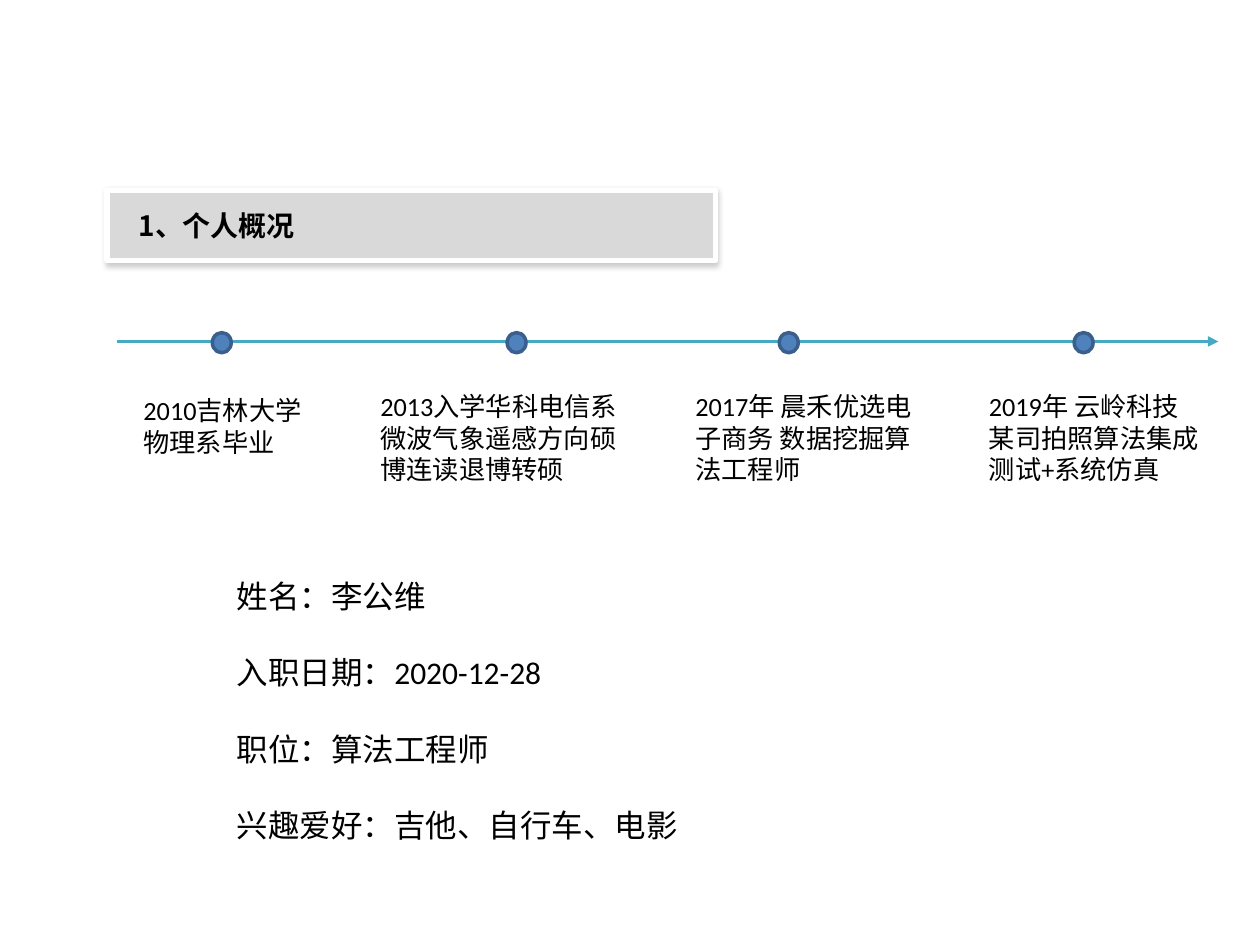
from dataclasses import dataclass

from lxml import etree
from pptx import Presentation
from pptx import util as u
from pptx.dml.color import RGBColor
from pptx.enum import shapes, text
from pptx.oxml import parse_xml
from pptx.oxml.ns import nsdecls, qn


@dataclass(frozen=True)
class Theme:
    ink: str = "000000"
    banner: str = "D9D9D9"
    banner_edge: str = "FFFFFF"
    shadow: str = "808080"
    axis: str = "46AAC5"
    dot: str = "4F81BD"
    dot_edge: str = "3A5F8C"
    latin: str = "Calibri"
    chinese: str = "Noto Sans CJK SC"
    banner_size: int = 16
    caption_size: int = 15
    fact_size: int = 18


THEME = Theme()

HEADING = "1、个人概况"
FACTS = [
    "姓名：李公维",
    "入职日期：2020-12-28",
    "职位：算法工程师",
    "兴趣爱好：吉他、自行车、电影",
]
# Dot centre, then caption left, top, width, height, all relative to the axis start.
MILESTONES = [
    (0.83, (0.11, 0.37, 1.55, 0.61), "2010吉林大学物理系毕业"),
    (3.17, (1.99, 0.34, 2.17, 0.86), "2013入学华科电信系 微波气象遥感方向硕博连读退博转硕"),
    (5.33, (4.49, 0.34, 2, 0.86), "2017年 晨禾优选电子商务 数据挖掘算法工程师"),
    (7.67, (6.82, 0.34, 1.92, 0.86), "2019年 云岭科技\n某司拍照算法集成测试+系统仿真"),
]


def place(shape, box):
    shape.left, shape.top, shape.width, shape.height = map(u.Inches, box)


def paint(shape, fill, edge, edge_width):
    shape.fill.solid()
    shape.fill.fore_color.rgb = RGBColor.from_string(fill)
    shape.line.color.rgb = RGBColor.from_string(edge)
    shape.line.width = u.Pt(edge_width)


def format_text(frame, size, latin=THEME.latin, bold=False):
    frame.word_wrap = True
    frame.auto_size = text.MSO_AUTO_SIZE.NONE
    for para in frame.paragraphs:
        para.alignment = text.PP_ALIGN.LEFT
        for span in para.runs:
            span.font.size = u.Pt(size)
            span.font.bold = bold
            span.font.name = latin
            span.font.color.rgb = RGBColor.from_string(THEME.ink)
            east_asian = etree.Element(qn("a:ea"), typeface=THEME.chinese)
            span.font._element.find(qn("a:latin")).addnext(east_asian)


def add_banner(page, box):
    """Turn the title placeholder into a pill with a soft shadow."""
    banner = page.shapes.title
    place(banner, box)
    properties = banner._element.spPr
    properties.append(parse_xml(
        f'<a:prstGeom {nsdecls("a")} prst="roundRect"><a:avLst>'
        '<a:gd name="adj" fmla="val 50000"/></a:avLst></a:prstGeom>'))
    paint(banner, THEME.banner, THEME.banner_edge, 3)
    properties.append(parse_xml(
        f'<a:effectLst {nsdecls("a")}><a:outerShdw blurRad="{u.Pt(3.1)}" '
        f'dist="{u.Pt(1.6)}" dir="5400000" rotWithShape="0">'
        f'<a:srgbClr val="{THEME.shadow}"><a:alpha val="38000"/></a:srgbClr>'
        '</a:outerShdw></a:effectLst>'))
    frame = banner.text_frame
    frame.text = HEADING
    frame.vertical_anchor = text.MSO_ANCHOR.MIDDLE
    frame.margin_left = u.Inches(0.25)
    format_text(frame, THEME.banner_size, THEME.chinese, bold=True)


def add_axis(page, left, top, width):
    axis = page.shapes.add_connector(
        shapes.MSO_CONNECTOR.STRAIGHT,
        u.Inches(left), u.Inches(top), u.Inches(left + width), u.Inches(top))
    axis.line.color.rgb = RGBColor.from_string(THEME.axis)
    axis.line.width = u.Pt(1.5)
    etree.SubElement(axis.line._get_or_add_ln(), qn("a:tailEnd"), type="triangle")
    etree.SubElement(axis._element.spPr, qn("a:effectLst"))


def add_timeline(page, left, top, width):
    add_axis(page, left, top, width)
    dot_width, dot_height = 0.15, 0.16
    for centre, (x, y, caption_width, caption_height), wording in MILESTONES:
        dot = page.shapes.add_shape(
            shapes.MSO_SHAPE.OVAL,
            u.Inches(left + centre - dot_width / 2), u.Inches(top + 0.01 - dot_height / 2),
            u.Inches(dot_width), u.Inches(dot_height))
        dot.shadow.inherit = False
        paint(dot, THEME.dot, THEME.dot_edge, 2)

        caption = page.shapes.add_textbox(
            u.Inches(left + x), u.Inches(top + y),
            u.Inches(caption_width), u.Inches(caption_height))
        caption.text_frame.text = wording
        format_text(caption.text_frame, THEME.caption_size)


def add_facts(page, box):
    body = page.placeholders[1]
    place(body, box)
    frame = body.text_frame
    frame.text = "\n".join(FACTS)
    format_text(frame, THEME.fact_size)
    for index, para in enumerate(frame.paragraphs):
        para.space_before = u.Pt(22 if index else 0)
        properties = para._p.get_or_add_pPr()
        properties.set("marL", "0")
        properties.set("indent", "0")
        etree.SubElement(properties, qn("a:buNone"))


def main():
    deck = Presentation()
    deck.slide_width, deck.slide_height = u.Inches(10), u.Inches(7.5)
    page = deck.slides.add_slide(deck.slide_layouts[1])
    add_facts(page, (1.78, 4.53, 5, 2.22))
    add_timeline(page, 0.93, 2.71, 8.74)
    add_banner(page, (0.85, 1.51, 4.83, 0.56))
    deck.save("out.pptx")


if __name__ == "__main__":
    main()
